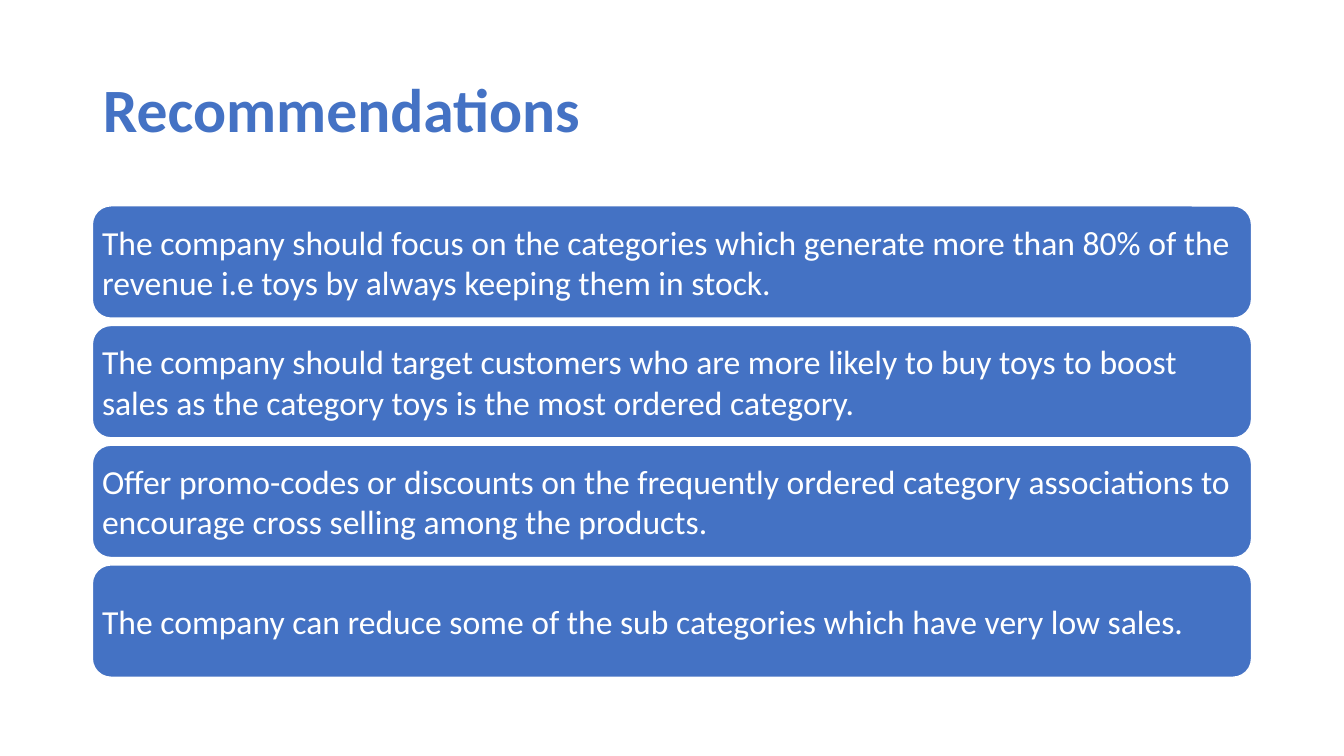
from pptx import Presentation
from pptx.dml.color import RGBColor
from pptx.enum.shapes import MSO_SHAPE as Shape
from pptx.enum.text import MSO_ANCHOR as Anchor, PP_ALIGN as Align
from pptx.util import Emu, Pt

PX = 9525  # EMU per px, 96 px to the inch
BLUE = "4472C4"
WHITE = "FFFFFF"
FONT = "Calibri"
RECOMMENDATIONS = [
    "The company should focus on the categories which generate more than 80% "
    "of the revenue i.e toys by always keeping them in stock.",
    "The company should target customers who are more likely to buy toys to "
    "boost sales as the category toys is the most ordered category.",
    "Offer promo-codes or discounts on the frequently ordered category "
    "associations to encourage cross selling among the products.",
    "The company can reduce some of the sub categories which have very low sales.",
]


def px(length):
    return Emu(length * PX)


def color(hex_string):
    return RGBColor.from_string(hex_string)


def set_text(shape, text, size, hex_color, margin, bold=False, line_spacing=1.0):
    frame = shape.text_frame
    frame.text = text
    frame.word_wrap = True
    frame.vertical_anchor = Anchor.MIDDLE
    frame.margin_left = frame.margin_right = px(margin)
    frame.margin_top = frame.margin_bottom = px(4)
    paragraph = frame.paragraphs[0]
    paragraph.alignment = Align.LEFT
    paragraph.line_spacing = line_spacing
    font = paragraph.runs[0].font
    font.name, font.size, font.bold = FONT, Pt(size), bold
    font.color.rgb = color(hex_color)


def add_title(slide, left, top, width, height):
    title = slide.shapes.add_textbox(px(left), px(top), px(width), px(height))
    set_text(title, "Recommendations", 44, BLUE, 10, bold=True, line_spacing=0.9)


def add_cards(slide, left, top, width, height, gap=7):
    count = len(RECOMMENDATIONS)
    card_height = (height - gap * (count - 1)) // count
    for index, text in enumerate(RECOMMENDATIONS):
        card_top = top + index * (card_height + gap)
        card = slide.shapes.add_shape(
            Shape.ROUNDED_RECTANGLE,
            px(left), px(card_top), px(width), px(card_height))
        card.shadow.inherit = False
        card.fill.solid()
        card.fill.fore_color.rgb = color(BLUE)
        card.line.color.rgb = color(WHITE)
        card.line.width = Pt(1)
        # The rounded corners already push the text inwards
        set_text(card, text, 24, WHITE, 4)


def main():
    presentation = Presentation()
    presentation.slide_width, presentation.slide_height = px(1280), px(720)
    slide = presentation.slides.add_slide(presentation.slide_layouts[6])
    # Heading
    add_title(slide, 88, 38, 1104, 139)
    # Stack of recommendation cards
    add_cards(slide, 88, 196, 1104, 449)
    presentation.save("out.pptx")


if __name__ == "__main__":
    main()
